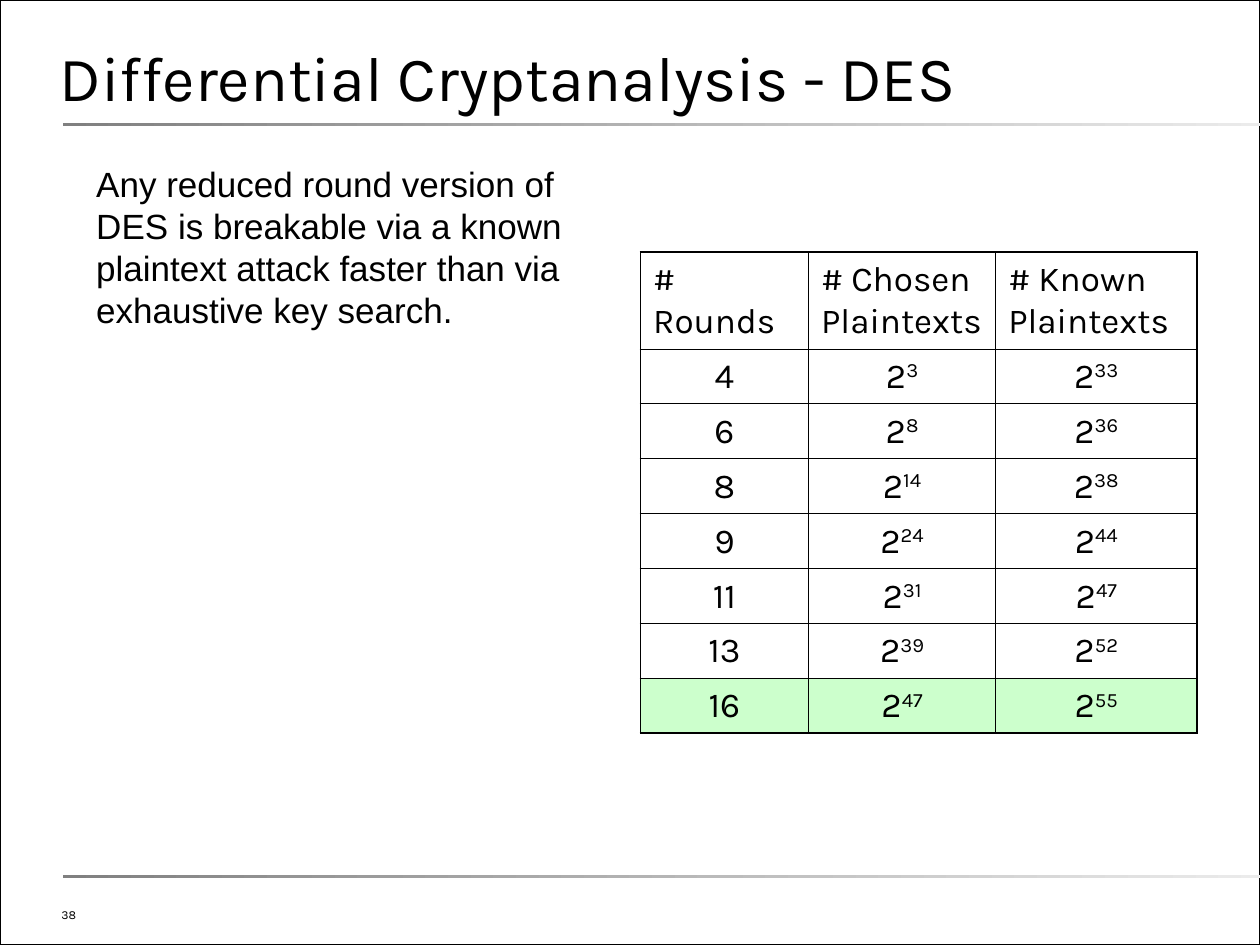
from lxml.etree import SubElement
from pptx import Presentation
from pptx.dml.color import RGBColor
from pptx.enum.shapes import MSO_SHAPE
from pptx.enum.text import MSO_ANCHOR, MSO_AUTO_SIZE, PP_ALIGN
from pptx.oxml.ns import qn
from pptx.util import Pt

COLORS = {
    "text": "000000",
    "border": "000000",
    "paper": "FFFFFF",
    "highlight": "CCFFCC",
    "rule_start": "808080",
    "rule_end": "EBEBEB",
}
HEADERS = ["# Rounds", "# Chosen Plaintexts", "# Known Plaintexts"]
# Rounds, then the exponents of two for chosen and known plaintexts
ATTACKS = [(4, 3, 33), (6, 8, 36), (8, 14, 38), (9, 24, 44),
           (11, 31, 47), (13, 39, 52), (16, 47, 55)]
COLUMN_WIDTHS = [96, 107, 115]
HEADER_HEIGHT, ROW_HEIGHT = 55.4, 31.4
THIN, THICK = 0.45, 1.08


def color(name):
    return RGBColor.from_string(COLORS[name])


def write_text(frame, text, size, font="Karla", align=PP_ALIGN.LEFT,
               line=None, after=0):
    """Fill a text frame; whatever follows a ^ is set as superscript."""
    para = frame.paragraphs[0]
    para.alignment = align
    para.space_before, para.space_after = Pt(0), Pt(after)
    if line:
        para.line_spacing = Pt(line)
    for index, part in enumerate(text.split("^")):
        span = para.add_run()
        span.text = part
        span.font.size = Pt(size)
        span.font.name = font
        span.font.color.rgb = color("text")
        if index:
            span.font._element.set("baseline", "30000")


def set_frame(frame, anchor, margins=(0, 0)):
    frame.word_wrap = True
    frame.auto_size = MSO_AUTO_SIZE.NONE
    frame.vertical_anchor = anchor
    frame.margin_left = frame.margin_right = Pt(margins[0])
    frame.margin_top = frame.margin_bottom = Pt(margins[1])


def add_text_box(page, box, text, size, anchor=MSO_ANCHOR.TOP,
                 margins=(0, 0), **style):
    frame = page.shapes.add_textbox(*map(Pt, box)).text_frame
    set_frame(frame, anchor, margins)
    write_text(frame, text, size, **style)


def add_rectangle(page, box):
    shape = page.shapes.add_shape(MSO_SHAPE.RECTANGLE, *map(Pt, box))
    shape.shadow.inherit = False
    return shape


def add_outline(page, box):
    outline = add_rectangle(page, box)
    outline.fill.background()
    outline.line.color.rgb = color("border")
    outline.line.width = Pt(1)


def add_rule(page, box):
    """Thin bar that fades towards the right."""
    rule = add_rectangle(page, box)
    rule.line.fill.background()
    rule.fill.gradient()
    rule.fill.gradient_angle = 0
    for stop, name in zip(rule.fill.gradient_stops, ("rule_start", "rule_end")):
        stop.color.rgb = color(name)


def place_title(page, box, text):
    title = page.shapes.title
    title.left, title.top, title.width, title.height = map(Pt, box)
    set_frame(title.text_frame, MSO_ANCHOR.BOTTOM)
    write_text(title.text_frame, text, 36, line=26)


def format_cell(cell, fill, widths):
    """Set fill and borders; widths run left, right, top, bottom."""
    properties = cell._tc.get_or_add_tcPr()
    for side, width in zip(("a:lnL", "a:lnR", "a:lnT", "a:lnB"), widths):
        border = SubElement(properties, qn(side), w=str(int(Pt(width))))
        paint = SubElement(border, qn("a:solidFill"))
        SubElement(paint, qn("a:srgbClr"), val=COLORS["border"])
    cell.fill.solid()
    cell.fill.fore_color.rgb = color(fill)


def add_attack_table(page, left, top):
    rows = [HEADERS] + [[str(rounds), f"2^{chosen}", f"2^{known}"]
                        for rounds, chosen, known in ATTACKS]
    heights = [HEADER_HEIGHT] + [ROW_HEIGHT] * len(ATTACKS)
    box = (left, top, sum(COLUMN_WIDTHS), sum(heights))
    table = page.shapes.add_table(len(rows), len(HEADERS), *map(Pt, box)).table
    table.first_row = table.horz_banding = False
    for column, width in zip(table.columns, COLUMN_WIDTHS):
        column.width = Pt(width)

    last_row, last_column = len(rows) - 1, len(HEADERS) - 1
    for r, texts in enumerate(rows):
        table.rows[r].height = Pt(heights[r])
        for c, text in enumerate(texts):
            cell = table.cell(r, c)
            outer = (c == 0, c == last_column, r == 0, r == last_row)
            format_cell(cell, "highlight" if r == last_row else "paper",
                        [THICK if edge else THIN for edge in outer])
            write_text(cell.text_frame, text, 20, line=24, after=12,
                       align=PP_ALIGN.CENTER if r else PP_ALIGN.LEFT)


def build_slide(deck):
    page = deck.slides.add_slide(deck.slide_layouts[5])
    page.background.fill.solid()
    page.background.fill.fore_color.rgb = color("paper")
    add_outline(page, (0, 0, 720, 540))
    for top in (70.3, 500.3):
        add_rule(page, (36, top, 686, 1.6))
    place_title(page, (34, 6, 650, 59.5), "Differential Cryptanalysis - DES")
    add_text_box(page, (55, 93, 284, 356),
                 "Any reduced round version of DES is breakable via a known "
                 "plaintext attack faster than via exhaustive key search.",
                 20, font="Arial", line=24, after=12)
    add_attack_table(page, 366, 144)
    add_text_box(page, (28, 514, 251, 16.5), "38", 7,
                 anchor=MSO_ANCHOR.BOTTOM, margins=(7.2, 3.6))


def main():
    deck = Presentation()
    deck.slide_width, deck.slide_height = Pt(720), Pt(540)
    build_slide(deck)
    deck.save("out.pptx")


if __name__ == "__main__":
    main()
